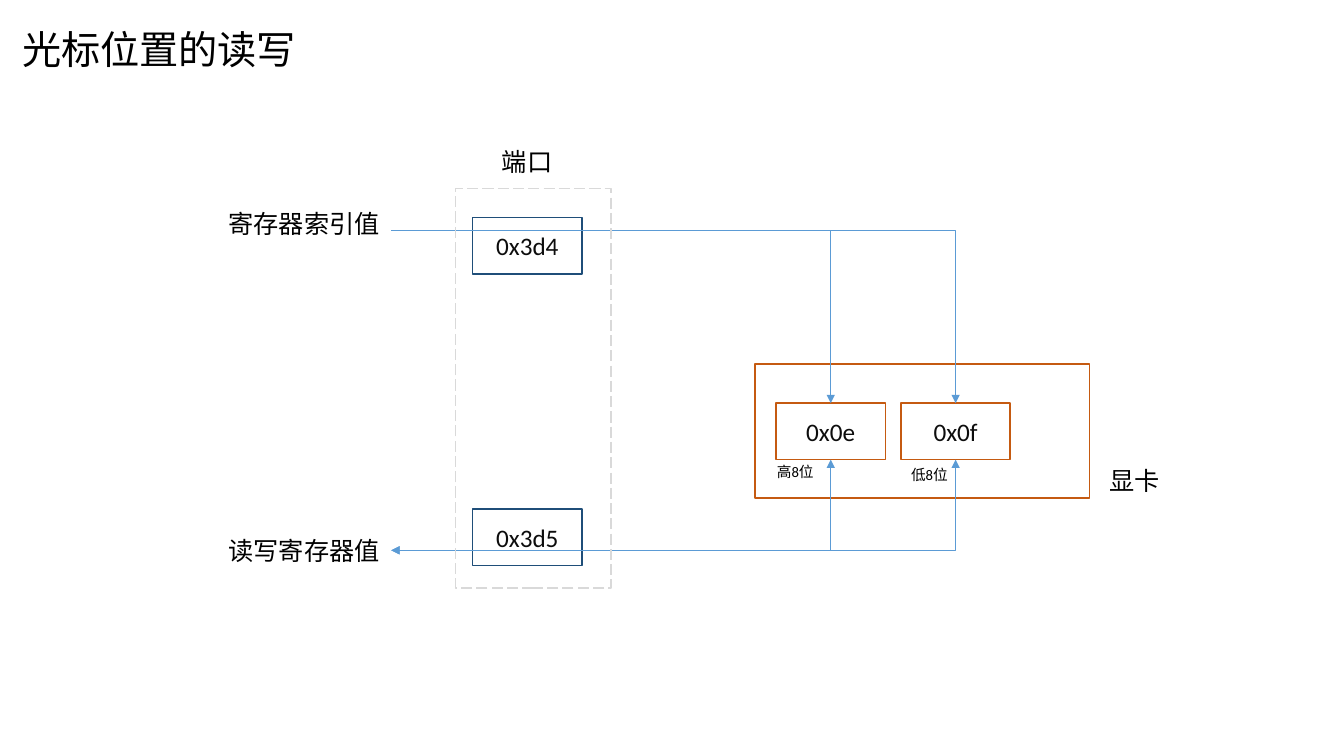
from dataclasses import dataclass

from lxml.etree import SubElement
from pptx import Presentation
from pptx.dml.color import RGBColor
from pptx.enum.dml import MSO_LINE
from pptx.enum.shapes import MSO_CONNECTOR, MSO_SHAPE
from pptx.enum.text import MSO_ANCHOR, MSO_AUTO_SIZE, PP_ALIGN
from pptx.oxml.ns import qn
from pptx.util import Pt

LATIN, CJK = "Calibri", "Noto Sans CJK SC"
ORANGE, NAVY, BLUE, GREY = "C55A11", "1F4E79", "5B9BD5", "D9D9D9"
BLACK, INK = "000000", "0D0D0D"

BOX_W, BOX_H = 78, 40.3
PORT_X, REGISTER_Y = 337.7, 288
FLOW_X, INDEX_Y, VALUE_Y = 279.4, 164.9, 393.1


@dataclass
class Box:
    left: float
    top: float
    color: str
    text: str = ""
    width: float = BOX_W
    height: float = BOX_H
    dashed: bool = False


@dataclass
class Label:
    left: float
    top: float
    width: float
    text: str
    height: float = 29
    size: float = 18
    wrap: bool = False


GRAPHICS_CARD = Box(539.3, 259.9, ORANGE, width=239, height=95.8)
PORT_FRAME = Box(325.4, 134.6, GREY, width=111, height=285.4, dashed=True)
PORTS = [Box(PORT_X, 155.5, NAVY, "0x3d4"), Box(PORT_X, 363.6, NAVY, "0x3d5")]
REGISTERS = [
    Box(554.4, REGISTER_Y, ORANGE, "0x0e"),
    Box(643.6, REGISTER_Y, ORANGE, "0x0f"),
]
LABELS = [
    Label(156.2, 145.4, 124, "寄存器索引值"),
    Label(351.4, 100.8, 51, "端口"),
    Label(156.2, 378.7, 124, "读写寄存器值"),
    Label(785.5, 329, 51, "显卡"),
    Label(547.9, 326.9, 41, "高8位", 20, 10.5, True),
    Label(643.7, 329, 41, "低8位", 20, 10.5, True),
]


def rgb(value: str) -> RGBColor:
    return RGBColor.from_string(value)


def add_run(paragraph, text: str, size: float, color: str, latin: str = LATIN) -> None:
    run = paragraph.add_run()
    run.text = text
    run.font.size = Pt(size)
    run.font.name = latin
    run.font.color.rgb = rgb(color)
    SubElement(run.font._element, qn("a:ea"), typeface=CJK)


def add_box(slide, box: Box) -> None:
    shape = slide.shapes.add_shape(
        MSO_SHAPE.RECTANGLE, Pt(box.left), Pt(box.top), Pt(box.width), Pt(box.height)
    )
    shape.shadow.inherit = False
    shape.fill.background()
    shape.line.color.rgb = rgb(box.color)
    shape.line.width = Pt(1)
    if box.dashed:
        shape.line.dash_style = MSO_LINE.LONG_DASH
    if box.text:
        shape.text_frame.vertical_anchor = MSO_ANCHOR.MIDDLE
        paragraph = shape.text_frame.paragraphs[0]
        paragraph.alignment = PP_ALIGN.CENTER
        add_run(paragraph, box.text, 18, INK)


def add_label(slide, label: Label) -> None:
    frame = slide.shapes.add_textbox(
        Pt(label.left), Pt(label.top), Pt(label.width), Pt(label.height)
    ).text_frame
    frame.word_wrap = label.wrap
    frame.auto_size = MSO_AUTO_SIZE.SHAPE_TO_FIT_TEXT
    add_run(frame.paragraphs[0], label.text, label.size, BLACK)


def add_bend(slide, left: float, top: float, width: float, height: float,
             ends: list[str], quarter_turn: bool = False) -> None:
    """Draw a one-corner connector; a quarter turn makes it run down, then left."""
    if quarter_turn:
        left, top = left + (width - height) / 2, top + (height - width) / 2
        width, height = height, width
    bend = slide.shapes.add_connector(
        MSO_CONNECTOR.ELBOW, Pt(left), Pt(top), Pt(left + width), Pt(top + height)
    )
    bend.line.color.rgb = rgb(BLUE)
    bend.line.width = Pt(0.5)
    properties = bend._element.spPr
    properties.find(qn("a:prstGeom")).set("prst", "bentConnector2")
    if quarter_turn:
        properties.find(qn("a:xfrm")).set("rot", str(90 * 60000))
    for end in ends:
        SubElement(properties.find(qn("a:ln")), qn(f"a:{end}"), type="triangle")
    SubElement(properties, qn("a:effectLst"))


def add_index_flow(slide, register: Box) -> None:
    center = register.left + BOX_W / 2
    add_bend(slide, FLOW_X, INDEX_Y, center - FLOW_X, REGISTER_Y - INDEX_Y, ["tailEnd"])


def add_value_flow(slide, register: Box) -> None:
    center, bottom = register.left + BOX_W / 2, REGISTER_Y + BOX_H
    add_bend(slide, FLOW_X, bottom, center - FLOW_X, VALUE_Y - bottom,
             ["headEnd", "tailEnd"], quarter_turn=True)


def set_title(slide, text: str) -> None:
    title = slide.shapes.title
    title.left, title.top, title.width, title.height = Pt(8.6), Pt(14.4), Pt(212.4), Pt(41)
    frame = title.text_frame
    frame.word_wrap = False
    frame.auto_size = MSO_AUTO_SIZE.SHAPE_TO_FIT_TEXT
    frame.vertical_anchor = MSO_ANCHOR.TOP
    frame.paragraphs[0].alignment = PP_ALIGN.LEFT
    add_run(frame.paragraphs[0], text, 28, BLACK, CJK)


def main() -> None:
    presentation = Presentation()
    presentation.slide_width, presentation.slide_height = Pt(960), Pt(540)
    slide = presentation.slides.add_slide(presentation.slide_layouts[5])
    set_title(slide, "光标位置的读写")
    for box in [GRAPHICS_CARD, *PORTS, *REGISTERS]:
        add_box(slide, box)
    for register in REGISTERS:
        add_index_flow(slide, register)
        add_value_flow(slide, register)
    add_box(slide, PORT_FRAME)
    for label in LABELS:
        add_label(slide, label)
    presentation.save("out.pptx")


if __name__ == "__main__":
    main()
